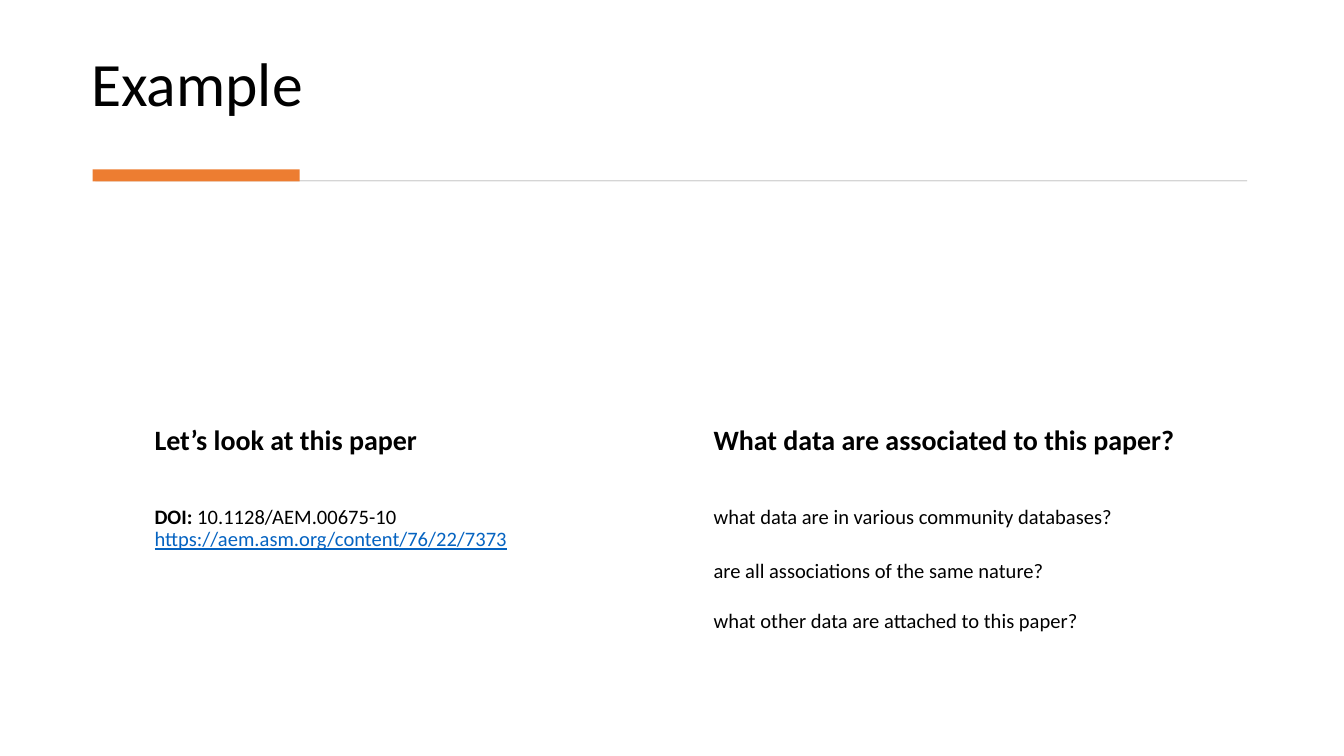
import pptx
import pptx.dml.color
import pptx.enum.shapes
import pptx.enum.text
import pptx.util

WIDTH = 10
HEIGHT = WIDTH * 9 / 16
FONT = "Calibri"
COLORS = {"text": "000000", "link": "0563C1", "rule": "D5D5D5", "accent": "ED7D31"}

COLUMN_LEFT, COLUMN_STEP, COLUMN_WIDTH = 1.15, 4.16, 3.54
HEADING_TOP, HEADING_HEIGHT = 3.17, 0.53
BODY_TOP, BODY_HEIGHT = 3.77, 0.99

BOLD = {"bold": True}
LINK = {"underline": True, "color": "link"}

# Each column: heading, then paragraphs as (space before, [(text, format), ...])
COLUMNS = [
    ("Let’s look at this paper", [
        (0, [("DOI:", BOLD), (" 10.1128/AEM.00675-10", {})]),
        (0, [("https://aem.asm.org/content/76/22/7373", LINK)]),
    ]),
    ("What data are associated to this paper?", [
        (0, [("what data are in various community databases?", {})]),
        (17, [("are all associations of the same nature?", {})]),
        (15, [("what other data are attached to this paper?", {})]),
    ]),
]


def rgb(name):
    return pptx.dml.color.RGBColor.from_string(COLORS[name])


def inches(*lengths):
    return [pptx.util.Inches(length) for length in lengths]


def set_frame(tf, anchor, inset_x=0, inset_y=0):
    x, y = inches(inset_x, inset_y)
    settings = {
        "word_wrap": True, "auto_size": pptx.enum.text.MSO_AUTO_SIZE.NONE,
        "vertical_anchor": anchor, "margin_left": x, "margin_right": x,
        "margin_top": y, "margin_bottom": y,
    }
    for name, value in settings.items():
        setattr(tf, name, value)


def write(tf, paragraphs, size):
    """Fill a text frame with (space before, runs) paragraphs."""
    for i, (space, runs) in enumerate(paragraphs):
        p = tf.add_paragraph() if i else tf.paragraphs[0]
        p.alignment = pptx.enum.text.PP_ALIGN.LEFT
        p.line_spacing = 0.9
        p.space_before = pptx.util.Pt(space)
        for text, style in runs:
            r = p.add_run()
            r.text = text
            font = {"name": FONT, "size": pptx.util.Pt(size), "bold": False, **style}
            r.font.color.rgb = rgb(font.pop("color", "text"))
            for name, value in font.items():
                setattr(r.font, name, value)


def add_title(s, text):
    sp = s.shapes.title
    sp.left, sp.top, sp.width, sp.height = inches(0.61, 0.1, 8.62, 0.83)
    set_frame(sp.text_frame, pptx.enum.text.MSO_ANCHOR.BOTTOM, 0.07, 0.04)
    write(sp.text_frame, [(0, [(text, {})])], 33)


def add_bar(s, color, *box):
    sp = s.shapes.add_shape(pptx.enum.shapes.MSO_SHAPE.RECTANGLE, *inches(*box))
    sp.shadow.inherit = False
    sp.fill.solid()
    sp.fill.fore_color.rgb = rgb(color)
    sp.line.fill.background()


def add_text(s, paragraphs, size, *box):
    tf = s.shapes.add_textbox(*inches(*box)).text_frame
    set_frame(tf, pptx.enum.text.MSO_ANCHOR.TOP)
    write(tf, paragraphs, size)


def main():
    prs = pptx.Presentation()
    prs.slide_width, prs.slide_height = inches(WIDTH, HEIGHT)
    s = prs.slides.add_slide(prs.slide_layouts[5])
    add_title(s, "Example")
    add_bar(s, "rule", 0.71, 1.34, 8.57, 0.01)
    add_bar(s, "accent", 0.69, 1.26, 1.54, 0.09)
    for i, (heading, body) in enumerate(COLUMNS):
        left = COLUMN_LEFT + i * COLUMN_STEP
        add_text(s, [(0, [(heading, BOLD)])], 15,
                 left, HEADING_TOP, COLUMN_WIDTH, HEADING_HEIGHT)
        add_text(s, body, 11, left, BODY_TOP, COLUMN_WIDTH, BODY_HEIGHT)
    prs.save("out.pptx")


if __name__ == "__main__":
    main()
